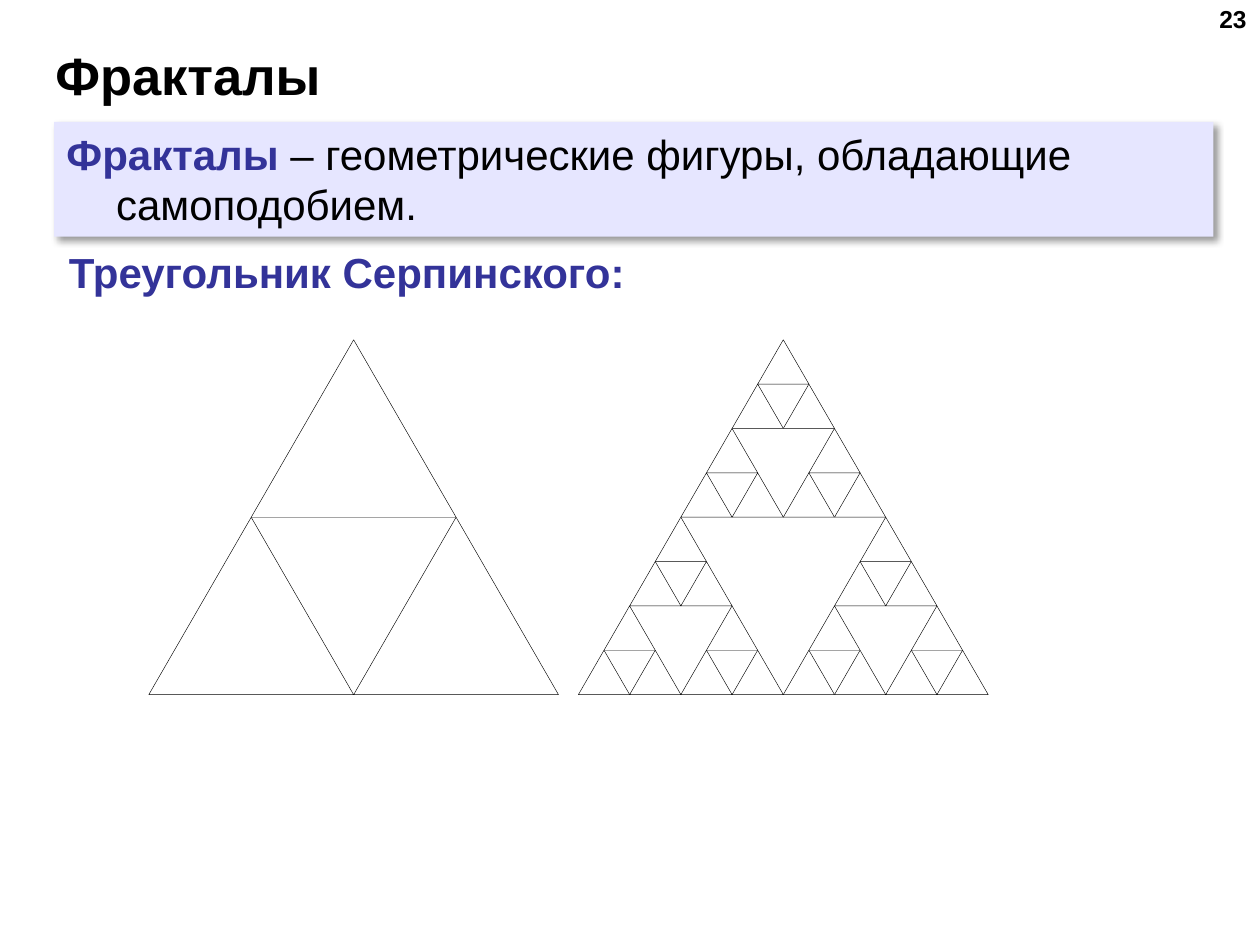
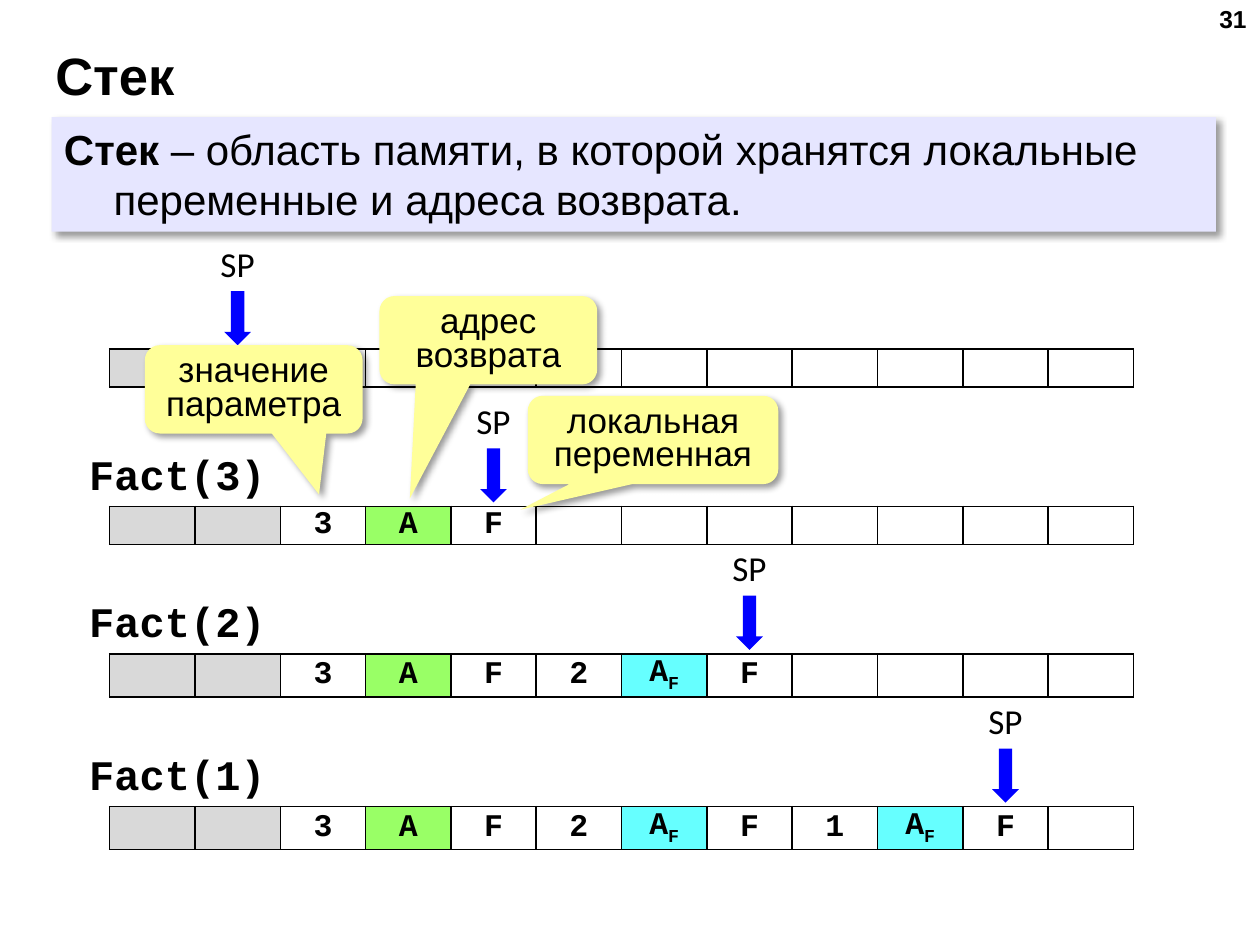
from math import sqrt

from lxml.etree import SubElement
from pptx import Presentation
from pptx.dml.color import RGBColor
from pptx.enum.shapes import MSO_SHAPE
from pptx.enum.text import MSO_ANCHOR, PP_ALIGN
from pptx.oxml.ns import qn
from pptx.util import Cm, Pt

BLACK = RGBColor(0x00, 0x00, 0x00)
WHITE = RGBColor(0xFF, 0xFF, 0xFF)
INDIGO = RGBColor(0x33, 0x33, 0x99)
LAVENDER = RGBColor(0xE6, 0xE6, 0xFF)
YELLOW = RGBColor(0xFF, 0xFF, 0x99)
BLUE = RGBColor(0x00, 0x00, 0xFF)
GREY = RGBColor(0xD9, 0xD9, 0xD9)
GREEN = RGBColor(0x99, 0xFF, 0x66)
CYAN = RGBColor(0x66, 0xFF, 0xFF)

TITLE = dict(name="Arial", size=Pt(30), bold=True)
PAGE_NUMBER = dict(name="Arial", size=Pt(14), bold=True)
TERM = dict(name="Arial", size=Pt(24), bold=True)
MEANING = dict(name="Arial", size=Pt(24), bold=False)
NOTE = dict(name="Arial", size=Pt(20), bold=False)
POINTER = dict(name="Calibri", size=Pt(20), bold=False)
CALL = dict(name="Courier New", size=Pt(24), bold=True)
CELL = dict(name="Courier New", size=Pt(18), bold=True)

NO_MARGINS = dict(margin_left=0, margin_right=0, margin_top=0, margin_bottom=0)
CENTERED = dict(alignment=PP_ALIGN.CENTER)

FRACTALS = dict(
    title="Фракталы",
    number="23",
    definition=[("Фракталы", TERM, INDIGO),
                (" – геометрические фигуры, обладающие самоподобием.", MEANING, BLACK)],
    definition_box=(1.09, 2.46, 23.37, 2.31),
)
SIERPINSKI_HEADING = "Треугольник Серпинского:"
SIERPINSKI_TOP, SIERPINSKI_SIDE = 6.85, 8.26
SIERPINSKI_STAGES = [(11.66, 3), (3.0, 1)]

STACK = dict(
    title="Стек",
    number="31",
    definition=[("Стек ", TERM, BLACK),
                ("– область памяти, в которой хранятся локальные переменные и адреса возврата.",
                 MEANING, BLACK)],
    definition_box=(1.04, 2.36, 23.47, 2.31),
)
USED, LOCAL = ("", "", GREY), ("F", "", None)
RETURN_TO_MAIN, RETURN_TO_FACT = ("A", "", GREEN), ("A", "F", CYAN)
FRAMES = [
    (7.04, "", [USED, USED]),
    (10.21, "Fact(3)", [("3", "", None), RETURN_TO_MAIN, LOCAL]),
    (13.18, "Fact(2)", [("2", "", None), RETURN_TO_FACT, LOCAL]),
    (16.26, "Fact(1)", [("1", "", None), RETURN_TO_FACT, LOCAL]),
]
CELLS, CELL_WIDTH, CELL_HEIGHT, STACK_LEFT = 12, 1.72, 0.76, 2.21
CALLOUTS = [
    ("значение параметра", (2.92, 6.96, 4.39, 1.78), (0.3, 1.19, 0.17)),
    ("адрес возврата", (7.65, 5.97, 4.39, 1.78), (-0.36, 1.79, 0.17)),
    ("локальная переменная", (10.64, 7.98, 5.05, 1.78), (-0.53, 0.79, 0.17)),
]


def apply(target, formats):
    for attribute, value in formats.items():
        setattr(target, attribute, value)


def place(box):
    return [Cm(length) for length in box]


def write(paragraph, text, style, color=BLACK):
    run = paragraph.add_run()
    run.text = text
    apply(run.font, style)
    run.font.color.rgb = color
    return run


def add_label(shapes, text, box, style, color=BLACK, paragraph_format={}, frame_format={}):
    label = shapes.add_textbox(*place(box))
    apply(label.text_frame, dict(word_wrap=True, **frame_format))
    paragraph = label.text_frame.paragraphs[0]
    apply(paragraph, paragraph_format)
    write(paragraph, text, style, color)


def add_filled(shapes, preset, box, fill, adjustments=()):
    filled = shapes.add_shape(preset, *place(box))
    filled.shadow.inherit = False
    filled.fill.solid()
    filled.fill.fore_color.rgb = fill
    filled.line.fill.background()
    for index, value in enumerate(adjustments):
        filled.adjustments[index] = value
    return filled


def cast_shadow(panel):
    effects = panel._element.spPr.find(qn("a:effectLst"))
    shadow = SubElement(effects, qn("a:outerShdw"), blurRad=str(Pt(4)), dist=str(Pt(3)),
                        dir="2700000", algn="tl", rotWithShape="0")
    color = SubElement(shadow, qn("a:srgbClr"), val=str(BLACK))
    SubElement(color, qn("a:alpha"), val="40000")


def add_topic(deck, topic):
    slide = deck.slides.add_slide(deck.slide_layouts[5])
    title = slide.shapes.title
    apply(title, dict(zip(("left", "top", "width", "height"), place((0.86, 0.84, 23.27, 1.32)))))
    apply(title.text_frame, dict(word_wrap=True, vertical_anchor=MSO_ANCHOR.MIDDLE))
    heading = title.text_frame.paragraphs[0]
    heading.alignment = PP_ALIGN.LEFT
    write(heading, topic["title"], TITLE)
    add_label(slide.shapes, topic["number"], (19.46, -0.05, 5.92, 1.32), PAGE_NUMBER,
              paragraph_format=dict(alignment=PP_ALIGN.RIGHT))

    panel = add_filled(slide.shapes, MSO_SHAPE.RECTANGLE, topic["definition_box"], LAVENDER)
    cast_shadow(panel)
    apply(panel.text_frame, dict(word_wrap=True, vertical_anchor=MSO_ANCHOR.TOP))
    definition = panel.text_frame.paragraphs[0]
    definition.alignment = PP_ALIGN.LEFT
    hanging = definition._p.get_or_add_pPr()
    hanging.set("marL", str(Cm(1)))
    hanging.set("indent", str(-Cm(1)))
    for text, style, color in topic["definition"]:
        write(definition, text, style, color)
    return slide


def draw_sierpinski(shapes, left, top, side, depth):
    height = side * sqrt(3) / 2
    if depth == 0:
        triangle = add_filled(shapes, MSO_SHAPE.ISOSCELES_TRIANGLE,
                              (left, top, side, height), WHITE)
        triangle.line.color.rgb = BLACK
        triangle.line.width = Pt(0.25)
        return
    for across, down in [(0.25, 0), (0.5, 0.5), (0, 0.5)]:
        draw_sierpinski(shapes, left + across * side, top + down * height, side / 2, depth - 1)


def fill_cell(cell, text, subscript, fill):
    apply(cell, dict(vertical_anchor=MSO_ANCHOR.MIDDLE, **NO_MARGINS))
    properties = cell._tc.get_or_add_tcPr()
    for side in ("lnL", "lnR", "lnT", "lnB"):
        border = SubElement(properties, qn(f"a:{side}"), w=str(Pt(1)))
        SubElement(SubElement(border, qn("a:solidFill")), qn("a:srgbClr"), val=str(BLACK))
    if fill is None:
        cell.fill.background()
    else:
        cell.fill.solid()
        cell.fill.fore_color.rgb = fill
    paragraph = cell.text_frame.paragraphs[0]
    paragraph.alignment = PP_ALIGN.CENTER
    if text:
        write(paragraph, text, CELL)
    else:
        SubElement(paragraph._p, qn("a:endParaRPr"), sz="1400")
    if subscript:
        write(paragraph, subscript, CELL)._r.get_or_add_rPr().set("baseline", "-25000")


def draw_memory(slide, top, contents):
    box = (STACK_LEFT, top, CELLS * CELL_WIDTH, CELL_HEIGHT)
    memory = slide.shapes.add_table(1, CELLS, *place(box)).table
    apply(memory, dict(first_row=False, horz_banding=False))
    memory.rows[0].height = Cm(CELL_HEIGHT)
    free = [("", "", None)] * (CELLS - len(contents))
    for index, content in enumerate(contents + free):
        memory.columns[index].width = Cm(CELL_WIDTH)
        fill_cell(memory.cell(0, index), *content)


def draw_stack_pointer(slide, top, last_used):
    center = STACK_LEFT + (last_used + 0.5) * CELL_WIDTH
    pointer = slide.shapes.add_group_shape().shapes
    add_label(pointer, "SP", (center - 0.58, top - 2.16, 1.16, 1.09), POINTER,
              paragraph_format=dict(space_after=Pt(10), **CENTERED), frame_format=NO_MARGINS)
    add_filled(pointer, MSO_SHAPE.DOWN_ARROW, (center - 0.27, top - 1.17, 0.54, 1.09),
               BLUE, (0.5, 0.5))


def build_fractals(deck):
    slide = add_topic(deck, FRACTALS)
    add_label(slide.shapes, SIERPINSKI_HEADING, (1.14, 4.85, 13, 1.27), TERM, INDIGO)
    for left, depth in SIERPINSKI_STAGES:
        stage = slide.shapes.add_group_shape().shapes
        draw_sierpinski(stage, left, SIERPINSKI_TOP, SIERPINSKI_SIDE, depth)


def build_stack(deck):
    slide = add_topic(deck, STACK)
    contents = []
    for top, call, pushed in FRAMES:
        contents = contents + pushed
        draw_memory(slide, top, contents)
        draw_stack_pointer(slide, top, len(contents) - 1)
        if call:
            add_label(slide.shapes, call, (1.55, top - 1.3, 4.5, 1.3), CALL)
    for text, box, tail in CALLOUTS:
        callout = add_filled(slide.shapes, MSO_SHAPE.ROUNDED_RECTANGULAR_CALLOUT,
                             box, YELLOW, tail)
        cast_shadow(callout)
        apply(callout.text_frame, dict(word_wrap=True, vertical_anchor=MSO_ANCHOR.MIDDLE))
        note = callout.text_frame.paragraphs[0]
        apply(note, dict(line_spacing=0.8, **CENTERED))
        write(note, text, NOTE)


def main():
    deck = Presentation()
    apply(deck, dict(slide_width=Cm(25.4), slide_height=Cm(19.05)))
    build_fractals(deck)
    build_stack(deck)
    deck.save("out.pptx")


if __name__ == "__main__":
    main()
